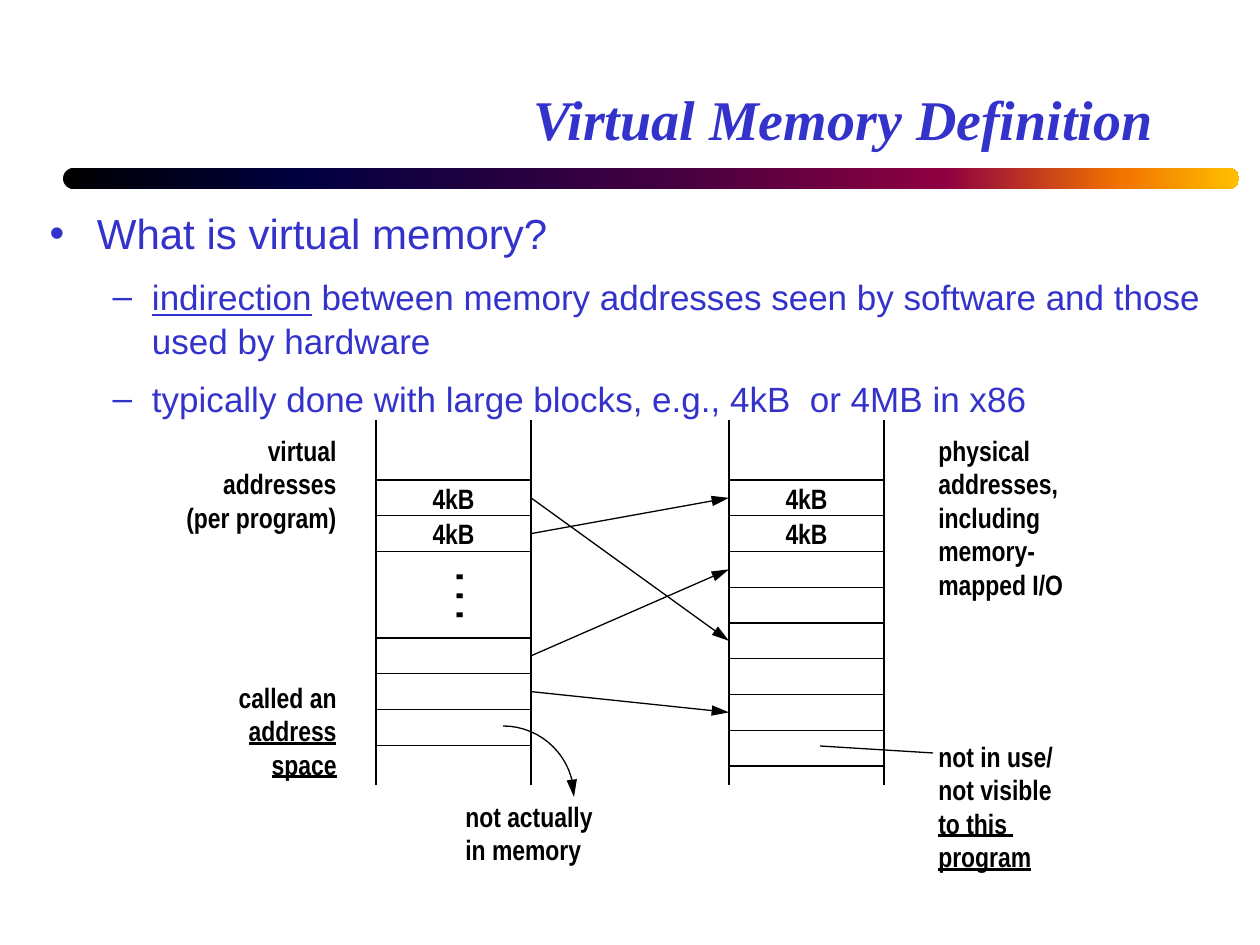
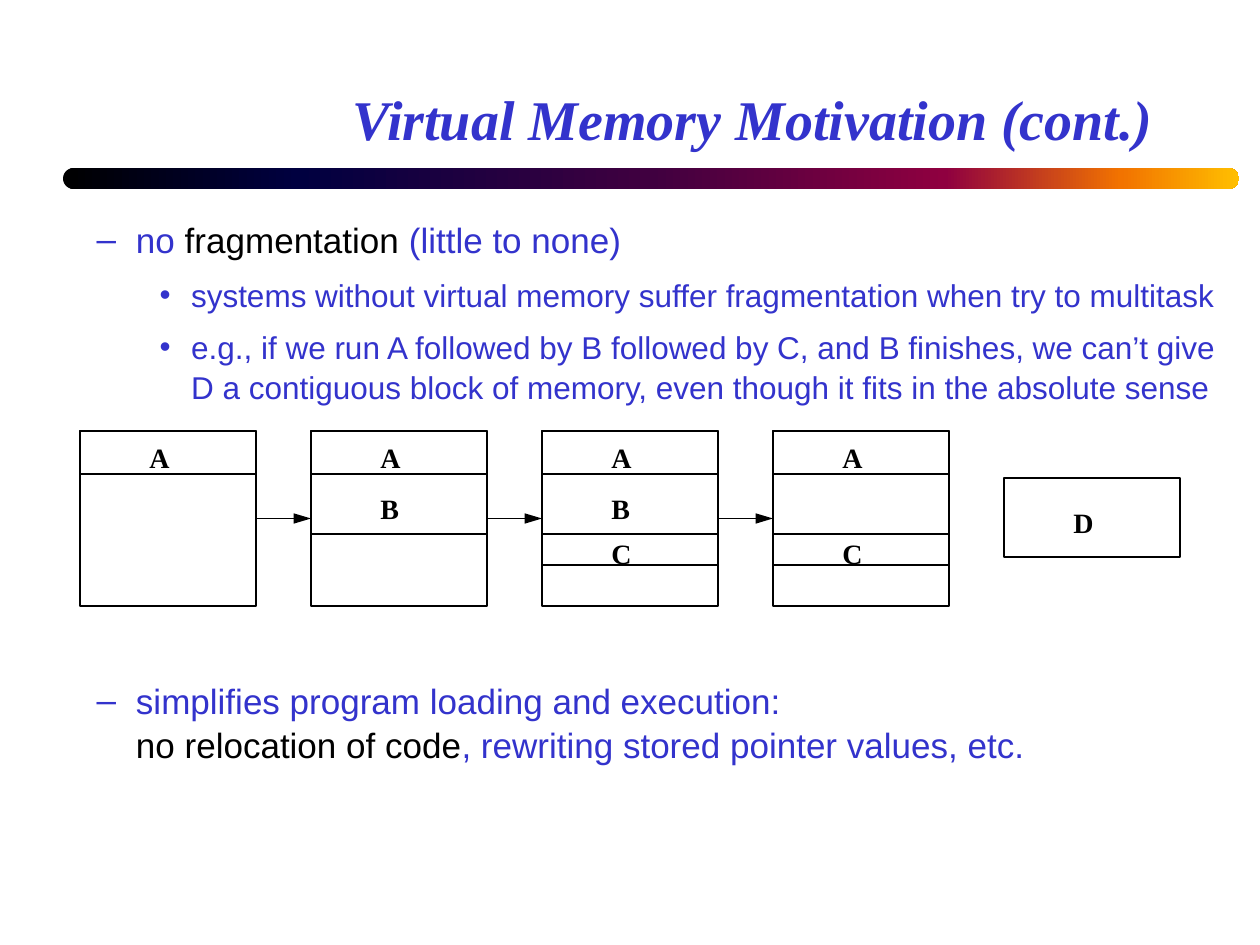
from math import cos, pi, sin

from lxml import etree
from pptx import Presentation
from pptx import util as u
from pptx.dml.color import RGBColor
from pptx.enum import shapes, text
from pptx.oxml import parse_xml
from pptx.oxml.ns import nsdecls, qn

PX_PER_INCH = 126
BLUE, BLACK = "3333CC", "000000"
BODY_FONT, TITLE_FONT, LABEL_FONT = "Arial", "Times New Roman", "Arial Narrow"
BODY_SIZES = [24, 20, 18]
BAND_STOPS = [(0, "000000"), (20, "000040"), (50, "400040"),
              (75, "8F0040"), (90, "F27300"), (100, "FFBF00")]
LEFT, RIGHT = text.PP_ALIGN.LEFT, text.PP_ALIGN.RIGHT

# Body paragraphs: (level, [(run, style), ...], extra space before in points)
DEFINITION = [
    (0, [("What is virtual memory?", "")], 0),
    (1, [("indirection", "underline"),
         (" between memory addresses seen by software and those used by hardware", "")], 0),
    (1, [("typically done with large blocks, e.g., 4kB  or 4MB in x86", "")], 0),
]
MOTIVATION = [
    (1, [("no ", ""), ("fragmentation", "black"), (" (little to none)", "")], 0),
    (2, [("systems without virtual memory suffer fragmentation when try to multitask", "")], 0),
    (2, [("e.g., if we run A followed by B followed by C, and B finishes, we can’t give "
          "D a contiguous block of memory, even though it fits in the absolute sense", "")], 0),
    (1, [("simplifies program loading and execution:\n", ""),
         ("no relocation of code", "black"),
         (", rewriting stored pointer values, etc.", "")], 148),
]

# Address spaces
VIRTUAL_X, PHYSICAL_X, COLUMN_W = 376, 729, 155
RAIL_TOP, RAIL_BOTTOM = 420, 785
PAGES_TOP, LOW_PAGES_TOP, PAGE_H = 480, 638, 35.75
MAPPINGS = [(0, 4), (1, 0), (2, 2), (3, 6)]  # virtual page, physical page
# Labels: (box, lines, alignment, number of underlined last lines)
LABELS = [
    ((926, 427, 151, 183),
     ["physical", "addresses,", "including", "memory-", "mapped I/O"], LEFT, 0),
    ((171, 427, 178, 115), ["virtual", "addresses", "(per program)"], RIGHT, 0),
    ((224, 674, 125, 115), ["called an", "address", "space"], RIGHT, 2),
    ((453, 793, 154, 81), ["not actually", "in memory"], LEFT, 0),
    ((926, 733, 141, 149), ["not in use/", "not visible", "to this ", "program"], LEFT, 2),
]

# Memory snapshots
MEMORY_X, MEMORY_Y, MEMORY_W, MEMORY_H, MEMORY_STEP = 80, 431, 176, 175, 231
SNAPSHOTS = ["A", "AB", "ABC", "AC"]
PROGRAMS = {"A": (431, 43, 434), "B": (474, 60, 485),  # top, height, letter top
            "C": (534, 31, 530), "D": (478, 79, 499)}


def px(n):
    return u.Emu(round(n * 914400 / PX_PER_INCH))


def rgb(hex_color):
    return RGBColor.from_string(hex_color)


def style(run, font, size, color=BLACK, bold=False):
    f = run.font
    f.name, f.size, f.bold = font, u.Pt(size), bold
    f.color.rgb = rgb(color)


def place(shape, *box):
    shape.left, shape.top, shape.width, shape.height = map(px, box)


def outline(shape, arrow=False):
    shape.line.color.rgb = rgb(BLACK)
    shape.line.width = u.Pt(0.75)
    if arrow:
        ln = shape.element.spPr.find(qn("a:ln"))
        etree.SubElement(ln, qn("a:tailEnd"), type="triangle", w="med", len="lg")


def add_box(s, *box):
    shape = s.shapes.add_shape(shapes.MSO_SHAPE.RECTANGLE, *map(px, box))
    shape.shadow.inherit = False
    shape.fill.background()
    outline(shape)
    return shape


def add_line(s, x1, y1, x2, y2, arrow=False):
    c = s.shapes.add_connector(shapes.MSO_CONNECTOR.STRAIGHT, *map(px, (x1, y1, x2, y2)))
    outline(c, arrow)
    etree.SubElement(c.element.spPr, qn("a:effectLst"))
    return c


def link(s, source, target):
    """Arrow from the right side of one box to the left side of another."""
    c = add_line(s, 0, 0, 1, 1, arrow=True)
    c.begin_connect(source, 3)
    c.end_connect(target, 1)


def write(tf, lines, font, size, align, underlined=0):
    tf.word_wrap = False
    tf.text = "\n".join(lines)
    for i, p in enumerate(tf.paragraphs):
        p.alignment = align
        for r in p.runs:
            style(r, font, size, bold=True)
            r.font.underline = i >= len(lines) - underlined


def clear_margins(tf):
    tf.margin_left = tf.margin_right = tf.margin_top = tf.margin_bottom = 0


def add_label(s, box, lines, align=LEFT, underlined=0, font=LABEL_FONT, size=16):
    label = s.shapes.add_textbox(*map(px, box))
    write(label.text_frame, lines, font, size, align, underlined)
    return label


def add_page(s, x, y, caption=""):
    page = add_box(s, x, y, COLUMN_W, PAGE_H)
    if caption:
        tf = page.text_frame
        clear_margins(tf)
        tf.vertical_anchor = text.MSO_ANCHOR.MIDDLE
        write(tf, [caption], LABEL_FONT, 16, text.PP_ALIGN.CENTER)
    return page


def add_band(layout, s):
    """Draw the gradient band and hand it to the layout, which all slides share."""
    band = s.shapes.add_shape(shapes.MSO_SHAPE.ROUNDED_RECTANGLE,
                              *map(px, (63, 168, 1176, 21)))
    band.adjustments[0] = 0.5
    band.shadow.inherit = False
    band.line.fill.background()
    band.fill.gradient()
    band.fill.gradient_angle = 0
    stops = "".join(f'<a:gs pos="{pos * 1000}"><a:srgbClr val="{color}"/></a:gs>'
                    for pos, color in BAND_STOPS)
    old = band.element.spPr.find(".//" + qn("a:gsLst"))
    old.getparent().replace(old, parse_xml(f'<a:gsLst {nsdecls("a")}>{stops}</a:gsLst>'))
    layout.element.cSld.spTree.append(band.element)


def add_slide(prs, layout, title, paragraphs, body_box):
    s = prs.slides.add_slide(layout)
    tf = s.shapes.title.text_frame
    tf.text = title
    tf.auto_size = text.MSO_AUTO_SIZE.NONE
    tf.vertical_anchor = text.MSO_ANCHOR.BOTTOM
    p = tf.paragraphs[0]
    p.alignment = RIGHT
    style(p.runs[0], TITLE_FONT, 32, BLUE, bold=True)
    p.runs[0].font.italic = True

    body = s.placeholders[1]
    place(body, *body_box)
    tf = body.text_frame
    tf.auto_size = text.MSO_AUTO_SIZE.NONE
    for i, (level, runs, extra) in enumerate(paragraphs):
        p = tf.add_paragraph() if i else tf.paragraphs[0]
        size = BODY_SIZES[level]
        p.level = level
        p.line_spacing = 1.05
        p.space_before = u.Pt(size * 0.2 + extra)
        p.space_after = u.Pt(size * 0.2)
        for words, look in runs:
            r = p.add_run()
            r.text = words.rstrip("\n")
            style(r, BODY_FONT, size, BLACK if look == "black" else BLUE)
            r.font.underline = look == "underline"
            if words.endswith("\n"):
                p.add_line_break()
    return s


def draw_address_spaces(s):
    virtual = [add_page(s, VIRTUAL_X, PAGES_TOP + i * PAGE_H, "4kB") for i in range(2)]
    virtual += [add_page(s, VIRTUAL_X, LOW_PAGES_TOP + i * PAGE_H) for i in range(3)]
    physical = [add_page(s, PHYSICAL_X, PAGES_TOP + i * PAGE_H, "4kB" if i < 2 else "")
                for i in range(8)]
    for x in (VIRTUAL_X, PHYSICAL_X):
        for rail_x in (x, x + COLUMN_W):
            add_line(s, rail_x, RAIL_TOP, rail_x, RAIL_BOTTOM)
    for source, target in MAPPINGS:
        link(s, virtual[source], physical[target])

    dots = add_label(s, (449, 571, 49, 50), [". . ."], RIGHT, size=24)
    clear_margins(dots.text_frame)
    dots.rotation = 90
    for label in LABELS:
        add_label(s, *label)
    add_line(s, 820, 746, 933, 753)

    cx, cy, radius, steps = 503, 797, 71, 16
    arc = [(px(cx + radius * sin(a)), px(cy - radius * cos(a)))
           for a in (pi / 2 * i / steps for i in range(steps + 1))]
    builder = s.shapes.build_freeform(*arc[0])
    builder.add_line_segments(arc[1:], close=False)
    curve = builder.convert_to_shape()
    curve.shadow.inherit = False
    curve.fill.background()
    outline(curve, arrow=True)


def add_program(s, x, name):
    top, height, letter_top = PROGRAMS[name]
    add_box(s, x, top, MEMORY_W, height)
    add_label(s, (x + 57, letter_top, 45, 47), [name], font=TITLE_FONT)


def draw_snapshots(s):
    frames = []
    for i, names in enumerate(SNAPSHOTS):
        x = MEMORY_X + i * MEMORY_STEP
        for name in names:
            add_program(s, x, name)
        frames.append(add_box(s, x, MEMORY_Y, MEMORY_W, MEMORY_H))
    for source, target in zip(frames, frames[1:]):
        link(s, source, target)
    add_program(s, MEMORY_X + len(SNAPSHOTS) * MEMORY_STEP, "D")


def main():
    prs = Presentation()
    prs.slide_width, prs.slide_height = px(1260), px(945)
    layout = prs.slide_layouts[1]
    place(layout.placeholders[0], 95, 32, 1071, 126)

    s = add_slide(prs, layout, "Virtual Memory Definition", DEFINITION, (37, 199, 1187, 252))
    add_band(layout, s)
    draw_address_spaces(s)

    s = add_slide(prs, layout, "Virtual Memory Motivation (cont.)", MOTIVATION,
                  (21, 210, 1218, 630))
    draw_snapshots(s)
    prs.save("out.pptx")


if __name__ == "__main__":
    main()
